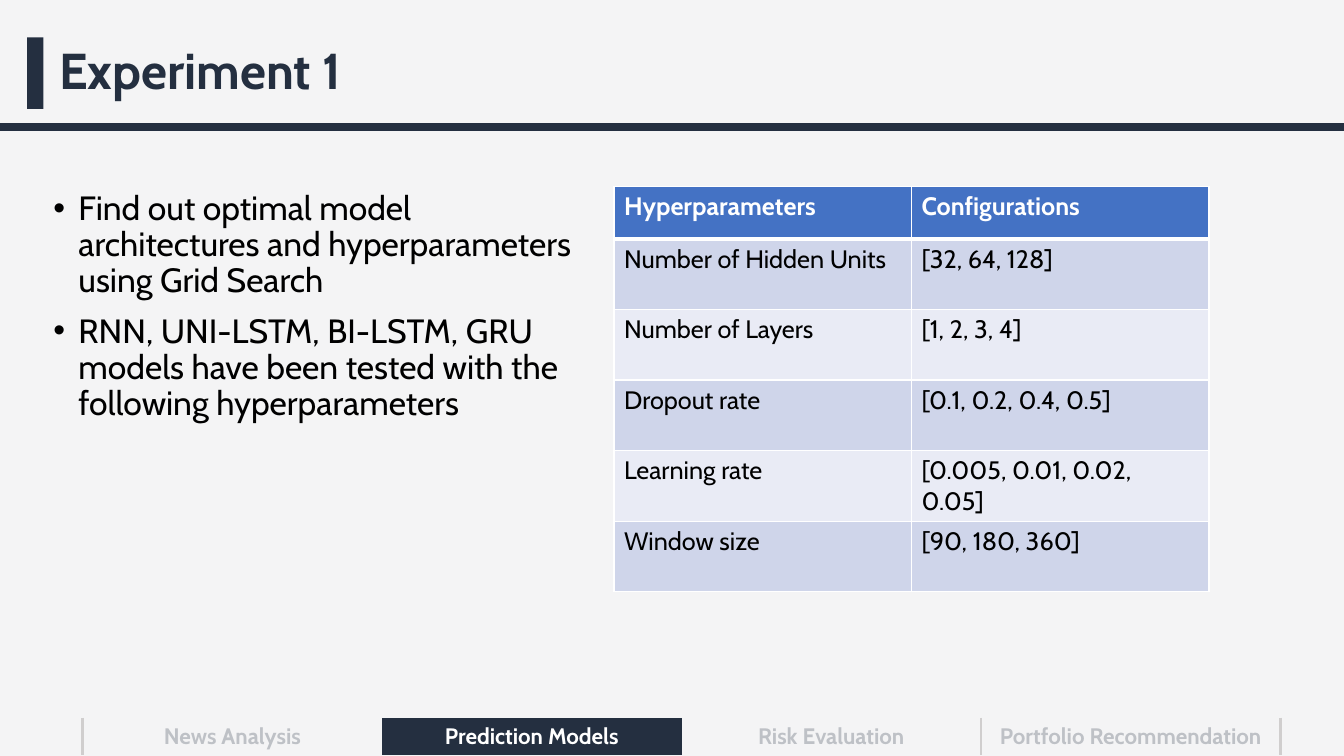
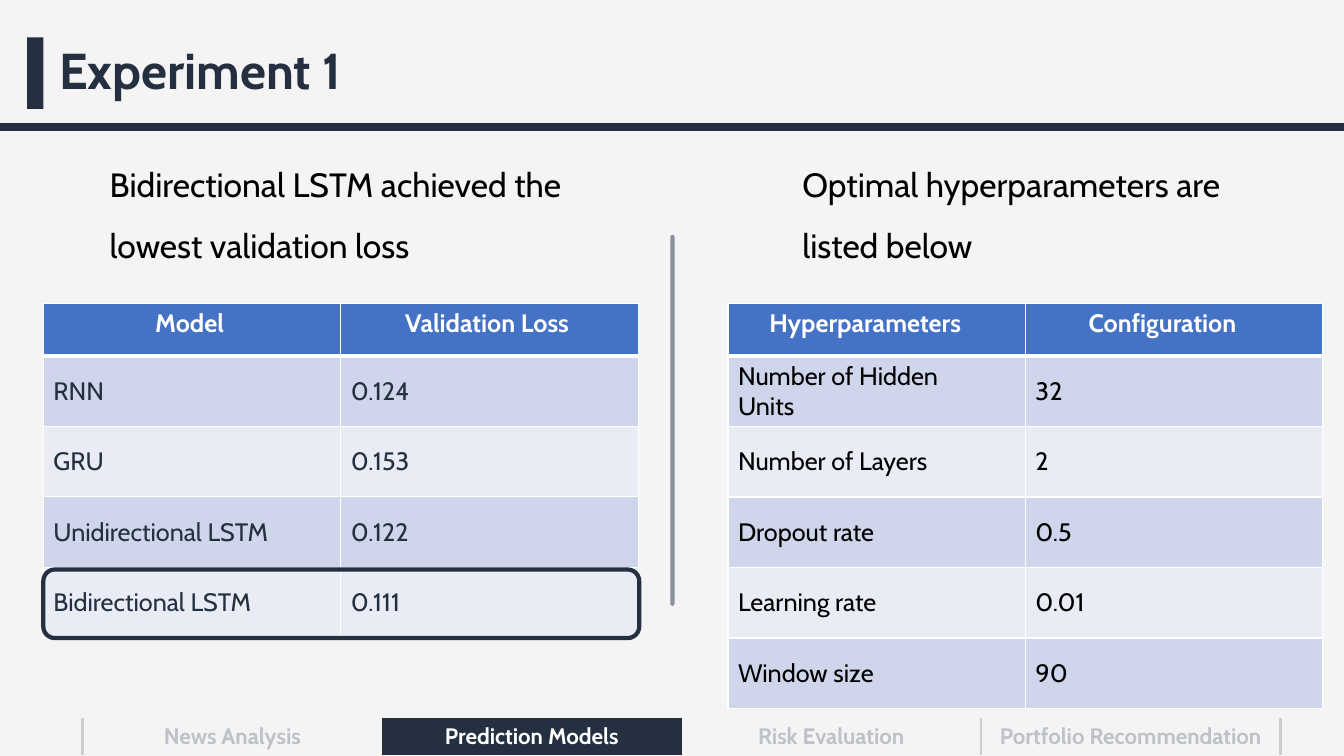
"""Build two slides on the first experiment with prediction models."""
from lxml import etree
from pptx import Presentation
from pptx import util as u
from pptx.dml.color import RGBColor
from pptx.enum import shapes, text
from pptx.oxml.ns import qn

PX = 9144
SLIDE_W, SLIDE_H = 1333, 750
FONT = "Cabin"
NAVY = RGBColor(0x24, 0x2F, 0x40)
PAPER = RGBColor(0xF4, 0xF4, 0xF5)
WHITE = RGBColor(0xFF, 0xFF, 0xFF)
BLACK = RGBColor(0x00, 0x00, 0x00)
BLUE = RGBColor(0x44, 0x72, 0xC4)
BAND_DARK = RGBColor(0xCF, 0xD5, 0xEA)
BAND_LIGHT = RGBColor(0xE9, 0xEB, 0xF5)
SILVER = RGBColor(0xD0, 0xCE, 0xCE)

TITLE = {"size": u.Pt(36), "bold": True}
BODY = {"size": u.Pt(24), "bold": False}
HEADER = {"size": u.Pt(18), "bold": True}
ENTRY = {"size": u.Pt(18), "bold": False}
STAGE = {"size": u.Pt(16), "bold": True}
STAGES = {
    "News Analysis": "L",
    "Prediction Models": "",
    "Risk Evaluation": "R",
    "Portfolio Recommendation": "LR",
}
CURRENT_STAGE = "Prediction Models"


def emu(*lengths):
    """Turn pixel lengths into EMU."""
    return [length * PX for length in lengths]


def apply(target, values):
    """Set every attribute in a dict of format values."""
    for name, value in values.items():
        setattr(target, name, value)


def set_alpha(element, percent):
    """Make every colour inside an element partly transparent."""
    for color in element.iter(qn("a:srgbClr")):
        etree.SubElement(color, qn("a:alpha"), val=str(percent * 1000))


def write(paragraph, words, font, color, layout=None):
    """Write one formatted run into a paragraph."""
    run = paragraph.add_run()
    run.text = words
    apply(run.font, {"name": FONT, **font})
    run.font.color.rgb = color
    apply(paragraph, layout or {})
    return run


def add_text(slide, box, paragraphs, font, color, spacing, anchor="TOP", bullets=False):
    """Place a wrapped text box with optional bullets."""
    frame = slide.shapes.add_textbox(*emu(*box)).text_frame
    apply(frame, {"word_wrap": True, "vertical_anchor": getattr(text.MSO_ANCHOR, anchor)})
    for index, words in enumerate(paragraphs):
        paragraph = frame.add_paragraph() if index else frame.paragraphs[0]
        if bullets:
            properties = paragraph._p.get_or_add_pPr()
            apply_indent = {"marL": str(25 * PX), "indent": str(-25 * PX)}
            properties.attrib.update(apply_indent)
            etree.SubElement(properties, qn("a:buFont"), typeface="Arial")
            etree.SubElement(properties, qn("a:buChar"), char="•")
        layout = {"line_spacing": spacing}
        if index:
            layout["space_before"] = u.Pt(10)
        write(paragraph, words, font, color, layout)


def add_rule(slide, start, end, width):
    """Draw a straight navy line without a shadow."""
    rule = slide.shapes.add_connector(shapes.MSO_CONNECTOR.STRAIGHT, *emu(*start, *end))
    rule.line.color.rgb = NAVY
    rule.line.width = u.Pt(width)
    etree.SubElement(rule._element.spPr, qn("a:effectLst"))
    return rule


def add_block(slide, kind, box):
    """Place a shape without a shadow."""
    block = slide.shapes.add_shape(kind, *emu(*box))
    block.shadow.inherit = False
    return block


def set_borders(cell, widths, color):
    """Draw the listed cell edges and hide the others."""
    properties = cell._tc.get_or_add_tcPr()
    for side in "LRTB":
        width = widths.get(side, 0)
        edge = etree.SubElement(properties, qn(f"a:ln{side}"), w=str(int(u.Pt(width))))
        if width:
            fill = etree.SubElement(edge, qn("a:solidFill"))
            etree.SubElement(fill, qn("a:srgbClr"), val=str(color))
        else:
            etree.SubElement(edge, qn("a:noFill"))


def add_grid(slide, origin, column_width, row_heights, columns):
    """Place an unstyled table with equal columns."""
    size = (column_width * columns, sum(row_heights))
    grid = slide.shapes.add_table(len(row_heights), columns, *emu(*origin, *size)).table
    apply(grid, {"first_row": False, "horz_banding": False})
    for column in grid.columns:
        column.width = column_width * PX
    for row, height in zip(grid.rows, row_heights):
        row.height = height * PX
    return grid


def add_results(slide, origin, rows, color=BLACK, header_align="LEFT",
                anchor="TOP", right_inset=15):
    """Place a banded two-column table under a blue header."""
    heights = [52] + [70] * (len(rows) - 1)
    grid = add_grid(slide, origin, 295, heights, 2)
    for r, row in enumerate(rows):
        for c, words in enumerate(row):
            cell = grid.cell(r, c)
            edges = {"L": 1, "R": 1, "T": 3 if r == 1 else 1, "B": 1 if r else 3}
            set_borders(cell, edges, WHITE)
            cell.fill.solid()
            cell.fill.fore_color.rgb = (BAND_DARK if r % 2 else BAND_LIGHT) if r else BLUE
            cell.margin_right = right_inset * PX
            cell.vertical_anchor = getattr(text.MSO_ANCHOR, anchor if r else "TOP")
            align = getattr(text.PP_ALIGN, "LEFT" if r else header_align)
            write(cell.text_frame.paragraphs[0], words, ENTRY if r else HEADER,
                  color if r else WHITE, {"alignment": align})


def add_stage_bar(slide, origin):
    """Place the footer that marks the current stage."""
    bar = add_grid(slide, origin, 297, [37], len(STAGES))
    for c, (stage, edges) in enumerate(STAGES.items()):
        cell = bar.cell(0, c)
        current = stage == CURRENT_STAGE
        set_borders(cell, dict.fromkeys(edges, 2.25), SILVER)
        if current:
            cell.fill.solid()
            cell.fill.fore_color.rgb = NAVY
        else:
            cell.fill.background()
        cell.vertical_anchor = text.MSO_ANCHOR.MIDDLE
        run = write(cell.text_frame.paragraphs[0], stage, STAGE,
                    WHITE if current else NAVY, {"alignment": text.PP_ALIGN.CENTER})
        if not current:
            set_alpha(run._r, 25)


def add_frame(deck, title):
    """Start a slide with its title, header rule and footer."""
    slide = deck.slides.add_slide(deck.slide_layouts[6])
    add_rule(slide, (0, 126), (SLIDE_W, 126), 6)
    add_stage_bar(slide, (82, 712))
    marker = add_block(slide, shapes.MSO_SHAPE.RECTANGLE, (27, 37, 16, 71))
    marker.fill.solid()
    marker.fill.fore_color.rgb = NAVY
    marker.line.fill.background()
    add_text(slide, (49, 40, 1150, 65), [title], TITLE, NAVY, 0.9, "MIDDLE")
    return slide


def build_setup(deck):
    """Build the slide on the tested hyperparameters."""
    slide = add_frame(deck, "Experiment 1")
    goals = [
        "Find out optimal model architectures and hyperparameters using Grid Search",
        "RNN, UNI-LSTM, BI-LSTM, GRU models have been tested with the following hyperparameters",
    ]
    add_text(slide, (43, 185, 542, 496), goals, BODY, BLACK, 0.9, bullets=True)
    add_results(slide, (609, 185), [
        ("Hyperparameters", "Configurations"),
        ("Number of Hidden Units", "[32, 64, 128]"),
        ("Number of Layers", "[1, 2, 3, 4]"),
        ("Dropout rate", "[0.1, 0.2, 0.4, 0.5]"),
        ("Learning rate", "[0.005, 0.01, 0.02, 0.05]"),
        ("Window size", "[90, 180, 360]"),
    ])


def build_outcome(deck):
    """Build the slide on the best model and its settings."""
    slide = add_frame(deck, "Experiment 1")
    add_text(slide, (786, 138, 462, 130), ["Optimal hyperparameters are listed below"],
             BODY, BLACK, 1.5)
    centred = {"header_align": "CENTER", "anchor": "MIDDLE"}
    add_results(slide, (43, 301), [
        ("Model", "Validation Loss"),
        ("RNN", "0.124"),
        ("GRU", "0.153"),
        ("Unidirectional LSTM", "0.122"),
        ("Bidirectional LSTM", "0.111"),
    ], NAVY, **centred)
    add_results(slide, (722, 301), [
        ("Hyperparameters", "Configuration"),
        ("Number of Hidden Units", "32"),
        ("Number of Layers", "2"),
        ("Dropout rate", "0.5"),
        ("Learning rate", "0.01"),
        ("Window size", "90"),
    ], right_inset=33, **centred)
    best_model = add_block(slide, shapes.MSO_SHAPE.ROUNDED_RECTANGLE, (43, 565, 591, 68))
    best_model.fill.background()
    best_model.line.color.rgb = NAVY
    best_model.line.width = u.Pt(3)
    add_text(slide, (99, 138, 473, 130),
             ["Bidirectional LSTM achieved the lowest validation loss"], BODY, BLACK, 1.5)
    divider = add_rule(slide, (667, 235), (667, 599), 3)
    divider.line._get_or_add_ln().set("cap", "rnd")
    set_alpha(divider._element.spPr, 50)


def main():
    """Build and save the deck."""
    deck = Presentation()
    apply(deck, {"slide_width": u.Inches(13.33), "slide_height": SLIDE_H * PX})
    backdrop = deck.slide_master.background.fill
    backdrop.solid()
    backdrop.fore_color.rgb = PAPER
    build_setup(deck)
    build_outcome(deck)
    deck.save("out.pptx")


if __name__ == "__main__":
    main()
